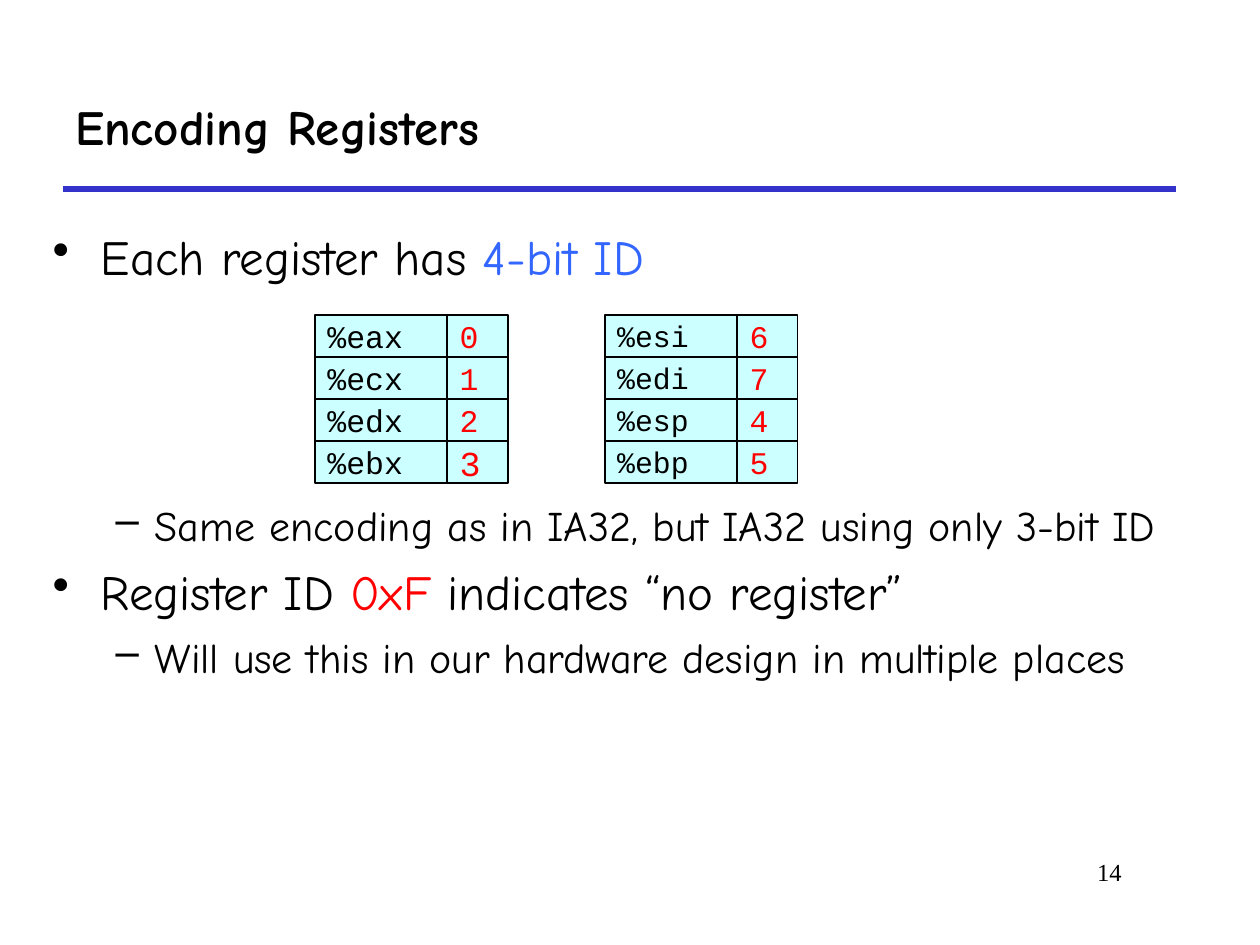
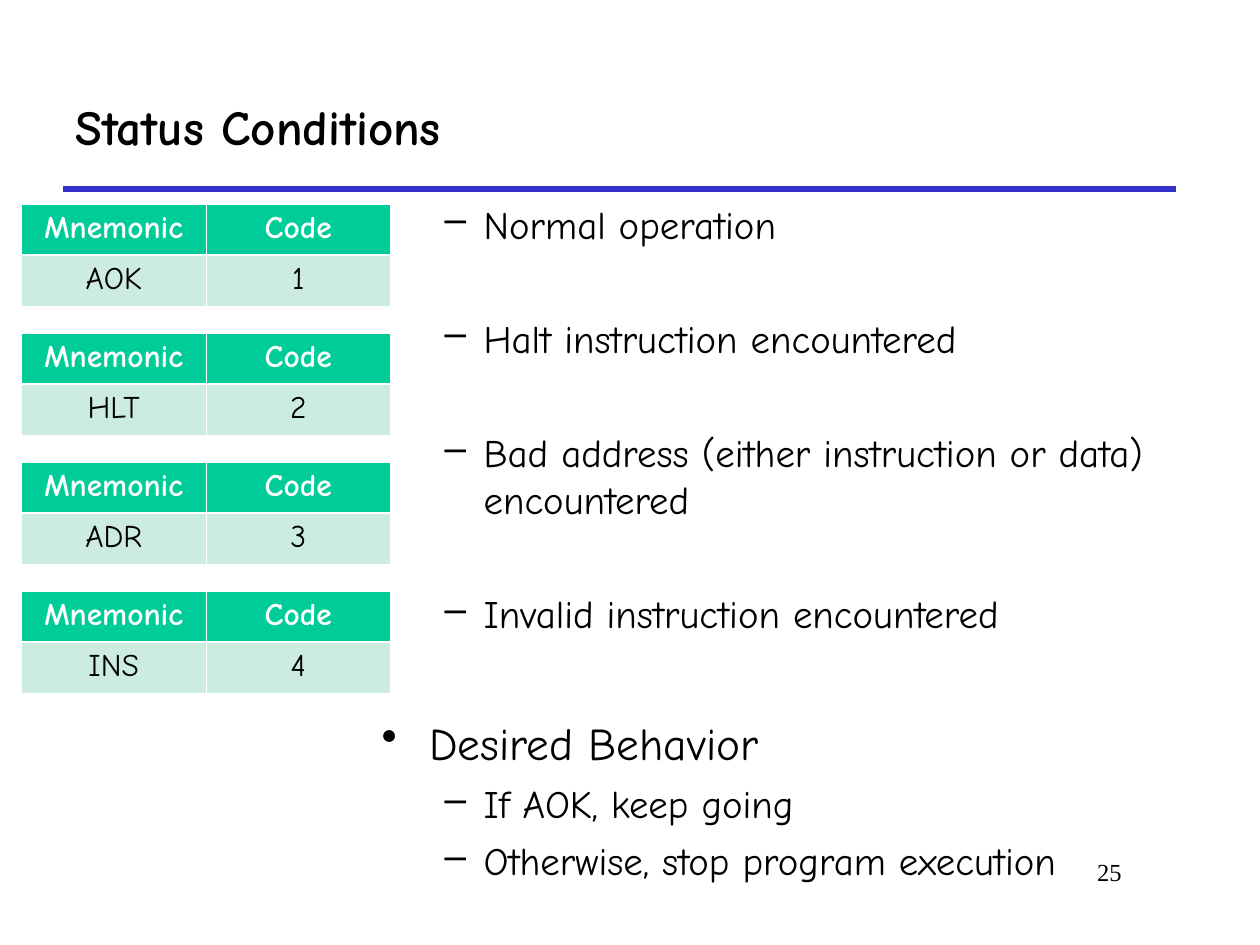
from lxml import etree
from pptx import Presentation
from pptx import util as u
from pptx.dml.color import RGBColor
from pptx.enum import shapes, text
from pptx.oxml import ns

BLACK = RGBColor(0x00, 0x00, 0x00)
WHITE = RGBColor(0xFF, 0xFF, 0xFF)
RED = RGBColor(0xFF, 0x00, 0x00)
BLUE = RGBColor(0x33, 0x66, 0xFF)
RULE_BLUE = RGBColor(0x33, 0x33, 0xCC)
CELL_CYAN = RGBColor(0xCC, 0xFF, 0xFF)
HEADER_GREEN = RGBColor(0x00, 0xCC, 0x99)
ROW_GREEN = RGBColor(0xCB, 0xEC, 0xDE)

BODY_FONT = "Comic Neue"
CODE_FONT = "Courier New"
NUMBER_FONT = "Times New Roman"

# level: (bullet, left margin, hanging indent, usual space before)
BULLETS = {
    0: ("•", u.Inches(0.38), u.Inches(0.38), 7),
    1: ("–", u.Inches(0.81), u.Inches(0.31), 6),
}


def add_xml(parent, tag, **attributes):
    return etree.SubElement(parent, ns.qn(tag), attributes)


def style(para, name, size, color=BLACK, bold=False):
    font = para.font
    font.name, font.size, font.bold = name, u.Pt(size), bold
    font.color.rgb = color


def add_text_box(page, left, top, width, height):
    box = page.shapes.add_textbox(left, top, width, height)
    box.text_frame.word_wrap = True
    return box.text_frame


def add_page(deck, title, number):
    """Add a page with the shared title, rule and page number."""
    page = deck.slides.add_slide(deck.slide_layouts[6])
    left, right, rule_top = u.Inches(0.5), u.Inches(9.33), u.Inches(1.5)

    rule = page.shapes.add_connector(
        shapes.MSO_CONNECTOR.STRAIGHT, left, rule_top, right, rule_top)
    rule.line.color.rgb = RULE_BLUE
    rule.line.width = u.Pt(3)
    add_xml(rule._element.spPr, "a:effectLst")

    frame = add_text_box(page, left, u.Inches(0.5), right - left, u.Inches(1))
    frame.vertical_anchor = text.MSO_ANCHOR.MIDDLE
    frame.text = title
    style(frame.paragraphs[0], BODY_FONT, 28, bold=True)

    frame = add_text_box(page, u.Inches(7.58), u.Inches(6.75),
                         u.Inches(1.42), u.Inches(0.5))
    frame.text = str(number)
    frame.paragraphs[0].alignment = text.PP_ALIGN.RIGHT
    style(frame.paragraphs[0], NUMBER_FONT, 14)
    return page


def add_bullets(page, left, top, width, height, sizes, items):
    """Each item is (level, extra space before, spans); a span is (words, color)."""
    frame = add_text_box(page, left, top, width, height)
    for index, (level, extra, spans) in enumerate(items):
        para = frame.add_paragraph() if index else frame.paragraphs[0]
        bullet, margin, hanging, space = BULLETS[level]
        para.level = level
        properties = para._p.get_or_add_pPr()
        properties.set("marL", str(margin))
        properties.set("indent", str(-hanging))
        color = add_xml(properties, "a:buClr")
        add_xml(color, "a:srgbClr", val=str(BLACK))
        add_xml(properties, "a:buChar", char=bullet)
        if index:
            para.space_before = u.Pt(space + extra)
        style(para, BODY_FONT, sizes[level])
        for words, span_color in spans:
            span = para.add_run()
            span.text = words
            if span_color != BLACK:
                span.font.color.rgb = span_color


def add_register_cell(page, left, top, width, height, label, size, color):
    cell = page.shapes.add_shape(
        shapes.MSO_SHAPE.RECTANGLE, left, top, width, height)
    cell.shadow.inherit = False
    cell.fill.solid()
    cell.fill.fore_color.rgb = CELL_CYAN
    cell.line.color.rgb = BLACK
    cell.line.width = u.Pt(1)
    frame = cell.text_frame
    frame.word_wrap = False
    frame.vertical_anchor = text.MSO_ANCHOR.MIDDLE
    frame.text = label
    para = frame.paragraphs[0]
    para.alignment = text.PP_ALIGN.LEFT
    style(para, CODE_FONT, size, color)


def add_register_grid(page, left, top, name_size, registers):
    """Each register is (name, ID, ID size)."""
    name_width, id_width = u.Inches(1.05), u.Inches(0.48)
    row_height = u.Inches(1) // 3
    for row, (name, register_id, id_size) in enumerate(registers):
        row_top = top + row * row_height
        add_register_cell(page, left, row_top, name_width, row_height,
                          name, name_size, BLACK)
        add_register_cell(page, left + name_width, row_top, id_width,
                          row_height, register_id, id_size, RED)


def set_borders(cell, top, bottom):
    """Draw white borders; top and bottom are widths in points."""
    properties = cell._tc.get_or_add_tcPr()
    widths = {"a:lnL": 0.45, "a:lnR": 0.45, "a:lnT": top, "a:lnB": bottom}
    for index, (tag, width) in enumerate(widths.items()):
        line = etree.Element(ns.qn(tag), w=str(u.Pt(width)))
        fill = add_xml(line, "a:solidFill")
        add_xml(fill, "a:srgbClr", val=str(WHITE))
        properties.insert(index, line)


def add_status_table(page, left, top, mnemonic, code):
    table = page.shapes.add_table(
        2, 2, left, top, u.Inches(2.93), u.Inches(0.81)).table
    table.horz_banding = False
    rows = [
        (("Mnemonic", "Code"), HEADER_GREEN, WHITE, True, (0.45, 1.47)),
        ((mnemonic, code), ROW_GREEN, BLACK, False, (1.47, 0.45)),
    ]
    for row, (labels, fill, color, bold, borders) in enumerate(rows):
        for column, label in enumerate(labels):
            cell = table.cell(row, column)
            cell.fill.solid()
            cell.fill.fore_color.rgb = fill
            set_borders(cell, *borders)
            cell.text = label
            para = cell.text_frame.paragraphs[0]
            para.alignment = text.PP_ALIGN.CENTER
            style(para, BODY_FONT, 18, color, bold)


def build_registers(deck):
    page = add_page(deck, "Encoding Registers", 14)
    grid_room = 116
    add_bullets(
        page, u.Inches(0.32), u.Inches(1.75), u.Inches(9.26), u.Inches(5.3),
        (28, 24), [
            (0, 0, [("Each register has ", BLACK), ("4-bit ID", BLUE)]),
            (1, grid_room, [
                ("Same encoding as in IA32, but IA32 using only 3-bit ID", BLACK)]),
            (0, 0, [("Register ID ", BLACK), ("0xF", RED),
                    (" indicates “no register”", BLACK)]),
            (1, 0, [
                ("Will use this in our hardware design in multiple places", BLACK)]),
        ])
    add_register_grid(page, u.Inches(2.5), u.Inches(2.5), 18, [
        ("%eax", "0", 18), ("%ecx", "1", 18), ("%edx", "2", 18), ("%ebx", "3", 20)])
    add_register_grid(page, u.Inches(4.8), u.Inches(2.5), 17, [
        ("%esi", "6", 18), ("%edi", "7", 18), ("%esp", "4", 18), ("%ebp", "5", 18)])


def build_status(deck):
    page = add_page(deck, "Status Conditions", 25)
    pitch = u.Inches(3.07) // 3
    for index, mnemonic in enumerate(("AOK", "HLT", "ADR", "INS")):
        add_status_table(page, u.Inches(0.17), u.Inches(1.62) + index * pitch,
                         mnemonic, str(index + 1))
    condition_gap, section_gap = 32.6, 38
    items = [
        (1, 0, "Normal operation"),
        (1, condition_gap, "Halt instruction encountered"),
        (1, condition_gap, "Bad address (either instruction or data) encountered"),
        (1, condition_gap, "Invalid instruction encountered"),
        (0, section_gap, "Desired Behavior"),
        (1, 0, "If AOK, keep going"),
        (1, 0, "Otherwise, stop program execution"),
    ]
    add_bullets(
        page, u.Inches(2.93), u.Inches(1.54), u.Inches(6.82), u.Inches(5.71),
        (25.9, 22.2),
        [(level, extra, [(words, BLACK)]) for level, extra, words in items])


def main():
    deck = Presentation()
    deck.slide_width, deck.slide_height = u.Inches(10), u.Inches(7.5)
    build_registers(deck)
    build_status(deck)
    deck.save("out.pptx")


if __name__ == "__main__":
    main()
